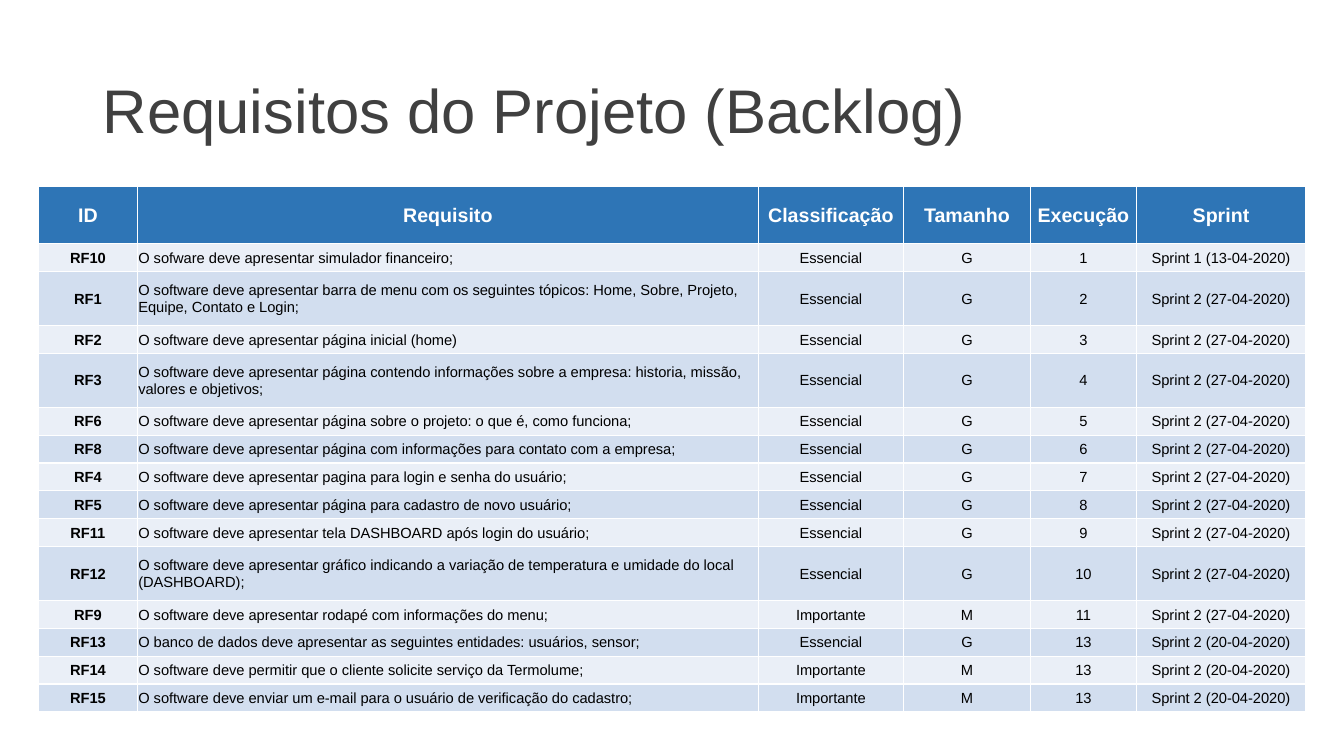
from lxml import etree
from pptx import Presentation
from pptx.dml.color import RGBColor
from pptx.enum.text import MSO_ANCHOR, PP_ALIGN
from pptx.oxml.ns import qn
from pptx.util import Inches, Pt

MIDDLE = MSO_ANCHOR.MIDDLE
LEFT = PP_ALIGN.LEFT
CENTER = PP_ALIGN.CENTER

COLORS = {
    "title": "404040",
    "head": "2E75B6",
    "light": "EAEFF7",
    "dark": "D2DEEF",
    "white": "FFFFFF",
    "black": "000000",
}
HEADS = ["ID", "Requisito", "Classificação", "Tamanho", "Execução", "Sprint"]
COLS = [7.35, 46.21, 10.8, 9.45, 7.88, 12.6]
HEAD_ROW, ONE_LINE, TWO_LINES = 7.53, 3.68, 7.15
WRAP_AT = 80
SIZES = {"Essencial": "G", "Importante": "M"}
FIRST = "Sprint 1 (13-04-2020)"
SECOND = "Sprint 2 (27-04-2020)"
THIRD = "Sprint 2 (20-04-2020)"
NEEDS = [
    ("RF10", "O sofware deve apresentar simulador financeiro;", "Essencial", 1, FIRST),
    ("RF1", "O software deve apresentar barra de menu com os seguintes tópicos: "
     "Home, Sobre, Projeto, Equipe, Contato e Login;", "Essencial", 2, SECOND),
    ("RF2", "O software deve apresentar página inicial (home)", "Essencial", 3, SECOND),
    ("RF3", "O software deve apresentar página contendo informações sobre a empresa: "
     "historia, missão, valores e objetivos;", "Essencial", 4, SECOND),
    ("RF6", "O software deve apresentar página sobre o projeto: o que é, como funciona;",
     "Essencial", 5, SECOND),
    ("RF8", "O software deve apresentar página com informações para contato com a empresa;",
     "Essencial", 6, SECOND),
    ("RF4", "O software deve apresentar pagina para login e senha do usuário;",
     "Essencial", 7, SECOND),
    ("RF5", "O software deve apresentar página para cadastro de novo usuário;",
     "Essencial", 8, SECOND),
    ("RF11", "O software deve apresentar tela DASHBOARD após login do usuário;",
     "Essencial", 9, SECOND),
    ("RF12", "O software deve apresentar gráfico indicando a variação de temperatura "
     "e umidade do local (DASHBOARD);", "Essencial", 10, SECOND),
    ("RF9", "O software deve apresentar rodapé com informações do menu;",
     "Importante", 11, SECOND),
    ("RF13", "O banco de dados deve apresentar as seguintes entidades: usuários, sensor;",
     "Essencial", 13, THIRD),
    ("RF14", "O software deve permitir que o cliente solicite serviço da Termolume;",
     "Importante", 13, THIRD),
    ("RF15", "O software deve enviar um e-mail para o usuário de verificação do cadastro;",
     "Importante", 13, THIRD),
]


class Deck:
    font = "Arial"

    def __init__(self, width, height):
        self.show = Presentation()
        self.show.slide_width = Inches(width)
        self.show.slide_height = Inches(height)
        self.slide = self.show.slides.add_slide(self.show.slide_layouts[6])

    def across(self, share):
        return round(self.show.slide_width * share / 100)

    def down(self, share):
        return round(self.show.slide_height * share / 100)

    def label(self, frame, text, size, color, align=LEFT, bold=False):
        frame.text = text
        line = frame.paragraphs[0]
        line.alignment = align
        font = line.runs[0].font
        font.name = self.font
        font.size = Pt(size)
        font.bold = bold
        font.color.rgb = RGBColor.from_string(COLORS[color])
        return line

    def title(self, text, left, top, width, height):
        box = self.slide.shapes.add_textbox(
            self.across(left), self.down(top), self.across(width), self.down(height))
        frame = box.text_frame
        frame.word_wrap = True
        frame.vertical_anchor = MIDDLE
        self.label(frame, text, 44, "title").line_spacing = 0.9

    def border(self, cell):
        props = cell._tc.get_or_add_tcPr()
        for side in ("L", "R", "T", "B"):
            line = etree.SubElement(props, qn(f"a:ln{side}"), w=str(Pt(1)))
            fill = etree.SubElement(line, qn("a:solidFill"))
            etree.SubElement(fill, qn("a:srgbClr"), val=COLORS["white"])

    def cell(self, cell, text, fill, size, color, align, bold):
        cell.margin_left = cell.margin_right = cell.margin_top = Inches(0.01)
        cell.margin_bottom = 0
        cell.vertical_anchor = MIDDLE
        self.border(cell)
        cell.fill.solid()
        cell.fill.fore_color.rgb = RGBColor.from_string(COLORS[fill])
        self.label(cell.text_frame, text, size, color, align, bold)

    def table(self, rows, left, top, cols, heights):
        grid = self.slide.shapes.add_table(
            len(rows), len(cols), self.across(left), self.down(top),
            self.across(sum(cols)), self.down(sum(heights))).table
        grid.first_row = grid.horz_banding = False
        for col, width in zip(grid.columns, cols):
            col.width = self.across(width)
        for r, (row, height) in enumerate(zip(rows, heights)):
            grid.rows[r].height = self.down(height)
            head = r == 0
            fill = "head" if head else "light" if r % 2 else "dark"
            size, color = (14, "white") if head else (10.5, "black")
            for c, text in enumerate(row):
                align = LEFT if c == 1 and not head else CENTER
                self.cell(grid.cell(r, c), text, fill, size, color, align, head or c == 0)


def main():
    deck = Deck(13.33, 7.5)
    deck.title("Requisitos do Projeto (Backlog)", 6.9, 5.33, 86.27, 19.33)
    rows = [HEADS]
    heights = [HEAD_ROW]
    for code, need, rank, turn, sprint in NEEDS:
        rows.append([code, need, rank, SIZES[rank], str(turn), sprint])
        heights.append(TWO_LINES if len(need) > WRAP_AT else ONE_LINE)
    deck.table(rows, 2.87, 24.7, COLS, heights)
    deck.show.save("out.pptx")


if __name__ == "__main__":
    main()
